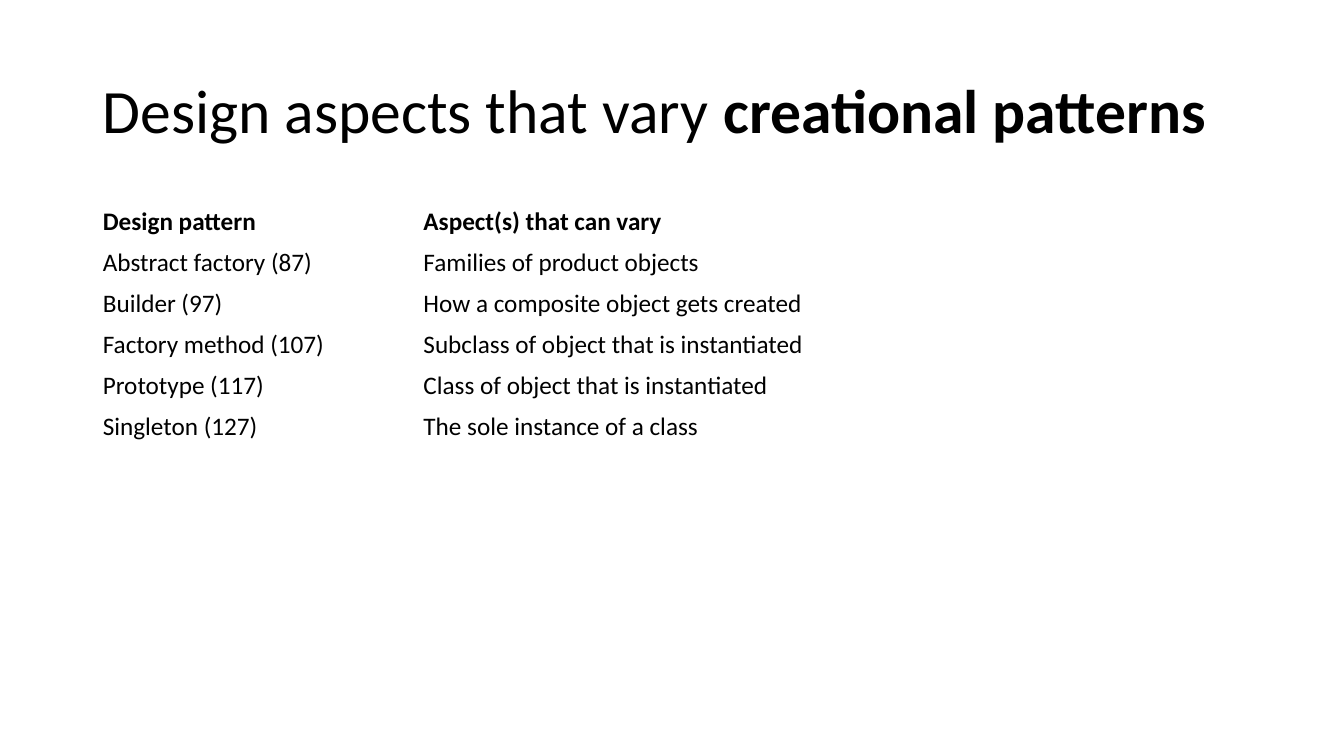
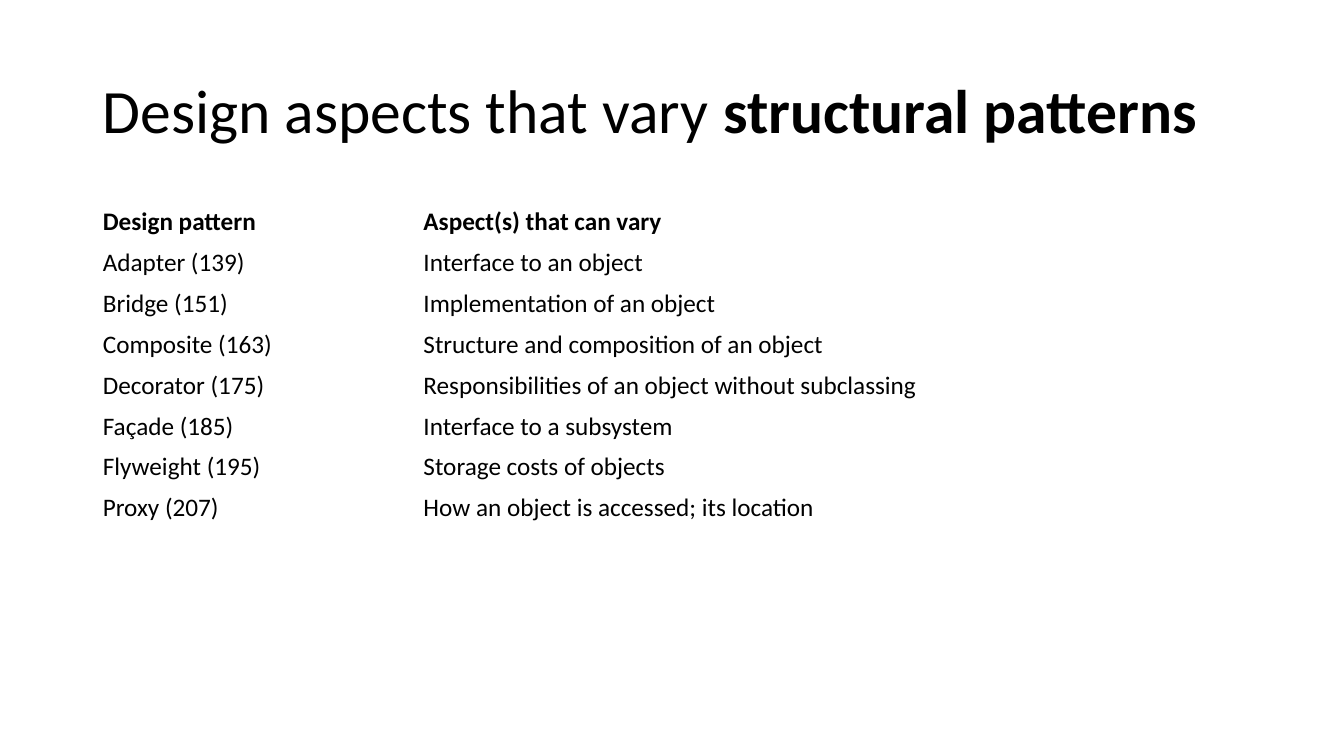
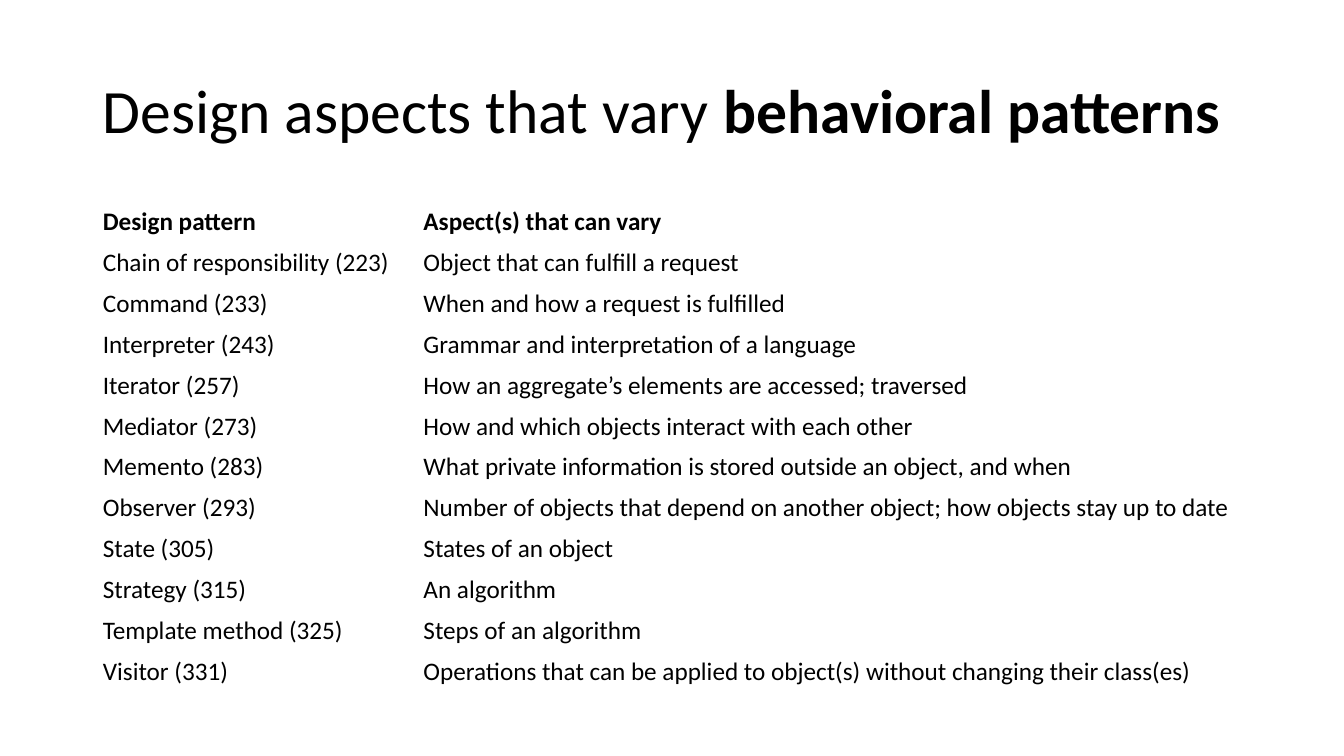
from pptx import Presentation
from pptx.dml.color import RGBColor
from pptx.enum.text import MSO_ANCHOR, MSO_AUTO_SIZE, PP_ALIGN
from pptx.util import Inches, Pt

FONT = "Calibri"
INK = "000000"
MARGIN = Inches(0.92)
CONTENT_WIDTH = Inches(11.5)
TITLE_BOX = (MARGIN, Inches(0.4), CONTENT_WIDTH, Inches(1.45))
TABLE_ORIGIN = (MARGIN, Inches(2))
NAME_COLUMN = Inches(3.18)
ROW_HEIGHT = Pt(29.2)
TITLE_LEAD = "Design aspects that vary "
HEADINGS = ("Design pattern", "Aspect(s) that can vary")

CATALOG = {
    "creational patterns": [
        ("Abstract factory (87)", "Families of product objects"),
        ("Builder (97)", "How a composite object gets created"),
        ("Factory method (107)", "Subclass of object that is instantiated"),
        ("Prototype (117)", "Class of object that is instantiated"),
        ("Singleton (127)", "The sole instance of a class"),
    ],
    "structural patterns": [
        ("Adapter (139)", "Interface to an object"),
        ("Bridge (151)", "Implementation of an object"),
        ("Composite (163)", "Structure and composition of an object"),
        ("Decorator (175)", "Responsibilities of an object without subclassing"),
        ("Façade (185)", "Interface to a subsystem"),
        ("Flyweight (195)", "Storage costs of objects"),
        ("Proxy (207)", "How an object is accessed; its location"),
    ],
    "behavioral patterns": [
        ("Chain of responsibility (223)", "Object that can fulfill a request"),
        ("Command (233)", "When and how a request is fulfilled"),
        ("Interpreter (243)", "Grammar and interpretation of a language"),
        ("Iterator (257)", "How an aggregate’s elements are accessed; traversed"),
        ("Mediator (273)", "How and which objects interact with each other"),
        ("Memento (283)", "What private information is stored outside an object, and when"),
        ("Observer (293)", "Number of objects that depend on another object; how objects stay up to date"),
        ("State (305)", "States of an object"),
        ("Strategy (315)", "An algorithm"),
        ("Template method (325)", "Steps of an algorithm"),
        ("Visitor (331)", "Operations that can be applied to object(s) without changing their class(es)"),
    ],
}


def style_font(font, size, bold=False, color=INK):
    font.name = FONT
    font.size = Pt(size)
    font.bold = bold
    font.color.rgb = RGBColor.from_string(color)


def place_title(title, box, family):
    title.left, title.top, title.width, title.height = box
    frame = title.text_frame
    frame.word_wrap = True
    frame.auto_size = MSO_AUTO_SIZE.NONE
    frame.vertical_anchor = MSO_ANCHOR.MIDDLE
    heading = frame.paragraphs[0]
    heading.alignment = PP_ALIGN.LEFT
    heading.line_spacing = 0.9
    for words, bold in ((TITLE_LEAD, False), (family, True)):
        run = heading.add_run()
        run.text = words
        style_font(run.font, 44, bold)


def add_pattern_table(slide, origin, width, patterns):
    rows = [HEADINGS, *patterns]
    table = slide.shapes.add_table(
        len(rows), len(HEADINGS), *origin, width, ROW_HEIGHT * len(rows)
    ).table
    table.first_row = table.horz_banding = False
    table.columns[0].width = NAME_COLUMN
    table.columns[1].width = width - NAME_COLUMN
    for row_index, entry in enumerate(rows):
        table.rows[row_index].height = ROW_HEIGHT
        for column_index, words in enumerate(entry):
            cell = table.cell(row_index, column_index)
            cell.fill.background()
            cell.text_frame.text = words
            run = cell.text_frame.paragraphs[0].runs[0]
            style_font(run.font, 18, bold=row_index == 0)


def add_pattern_slide(deck, family, patterns):
    slide = deck.slides.add_slide(deck.slide_layouts[5])
    place_title(slide.shapes.title, TITLE_BOX, family)
    add_pattern_table(slide, TABLE_ORIGIN, CONTENT_WIDTH, patterns)


def main():
    deck = Presentation()
    deck.slide_width = Inches(13.33)
    deck.slide_height = Inches(7.5)
    for family, patterns in CATALOG.items():
        add_pattern_slide(deck, family, patterns)
    deck.save("out.pptx")


if __name__ == "__main__":
    main()
